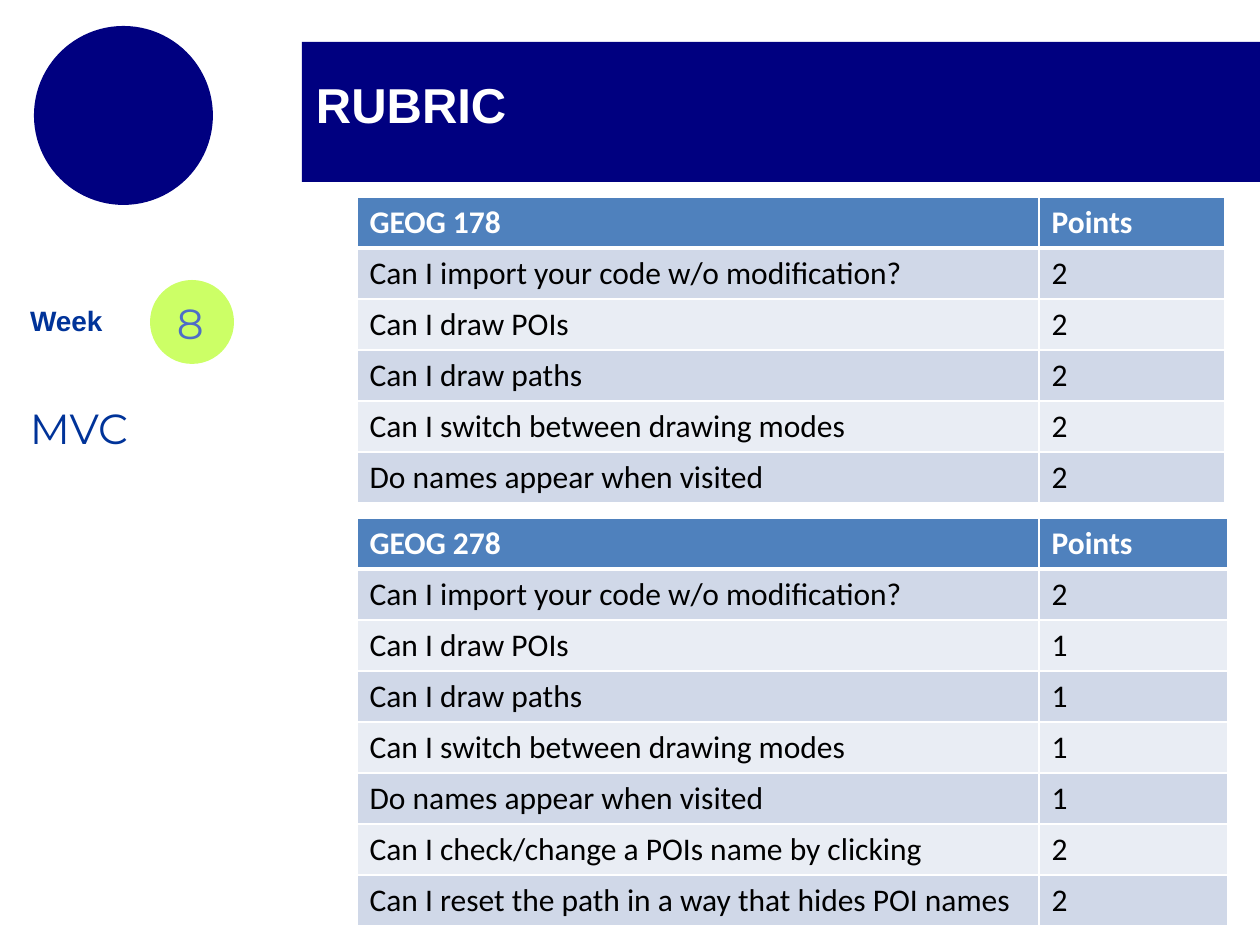
"""Build the week 8 rubric slide with its two points tables."""
from lxml.etree import SubElement
from pptx import Presentation
from pptx.dml.color import RGBColor as Rgb
from pptx.enum.shapes import MSO_SHAPE as Kind
from pptx.oxml.ns import qn
from pptx.util import Emu, Pt

HUES = {"navy": "000080", "lime": "CCFF66", "blue": "003399", "digit": "4E6DC7",
        "head": "4F81BD", "dark": "D0D8E8", "light": "E9EDF4",
        "white": "FFFFFF", "black": "000000"}


def px(*nums):
    return [Emu(round(n * 914400 / 126)) for n in nums]


def write(para, text, font, size, hue, bold):
    run = para.add_run()
    run.text = text
    run.font.name = font
    run.font.size = Pt(size)
    run.font.bold = bold
    run.font.color.rgb = Rgb.from_string(HUES[hue])


deck = Presentation()
deck.slide_width, deck.slide_height = px(1260, 945)
slide = deck.slides.add_slide(deck.slide_layouts[6])

for kind, box, hue in [
    (Kind.OVAL, (34, 26, 179, 179), "navy"),
    (Kind.RECTANGLE, (302, 42, 958, 140), "navy"),
    (Kind.OVAL, (150, 280, 84, 84), "lime"),
]:
    shape = slide.shapes.add_shape(kind, *px(*box))
    shape.shadow.inherit = False
    shape.fill.solid()
    shape.fill.fore_color.rgb = Rgb.from_string(HUES[hue])
    shape.line.fill.background()

for text, box, font, size, hue, bold in [
    ("RUBRIC", (316, 73, 484, 62), "Arial", 28, "white", True),
    ("Week", (30, 302, 80, 38), "Arial", 16, "blue", True),
    ("8", (177, 296, 32, 54), "Montserrat", 24, "digit", False),
    ("MVC", (30, 401, 267, 54), "Montserrat", 24, "blue", False),
]:
    frame = slide.shapes.add_textbox(*px(*box)).text_frame
    frame.word_wrap = True
    frame.margin_left = frame.margin_right = frame.margin_bottom = 0
    frame.margin_top = Pt(1)
    para = frame.paragraphs[0]
    para.space_before = Pt(1)
    write(para, text, font, size, hue, bold)

tasks = ["Can I import your code w/o modification?", "Can I draw POIs",
         "Can I draw paths", "Can I switch between drawing modes",
         "Do names appear when visited"]
extra = ["Can I check/change a POIs name by clicking",
         "Can I reset the path in a way that hides POI names"]

for course, top, last, items, points in [
    ("GEOG 178", 197, 186, tasks, "22222"),
    ("GEOG 278", 518, 189, tasks + extra, "2111122"),
]:
    rows = [(course, "Points"), *zip(items, points)]
    box = px(357, top, 682 + last, 51 * len(rows))
    table = slide.shapes.add_table(len(rows), 2, *box).table
    for col, wide in zip(table.columns, px(682, last)):
        col.width = wide
    for i, row in enumerate(rows):
        table.rows[i].height = px(51)[0]
        fill = "head" if i == 0 else "dark" if i % 2 else "light"
        for j, text in enumerate(row):
            cell = table.cell(i, j)
            write(cell.text_frame.paragraphs[0], text, "Calibri", 18,
                  "black" if i else "white", i == 0)
            props = cell._tc.get_or_add_tcPr()
            for side in "LRTB":
                thick = (i, side) in [(0, "B"), (1, "T")]
                line = SubElement(props, qn("a:ln" + side), w=str(Pt(3 if thick else 1)))
                solid = SubElement(line, qn("a:solidFill"))
                SubElement(solid, qn("a:srgbClr"), val=HUES["white"])
            cell.fill.solid()
            cell.fill.fore_color.rgb = Rgb.from_string(HUES[fill])

deck.save("out.pptx")
